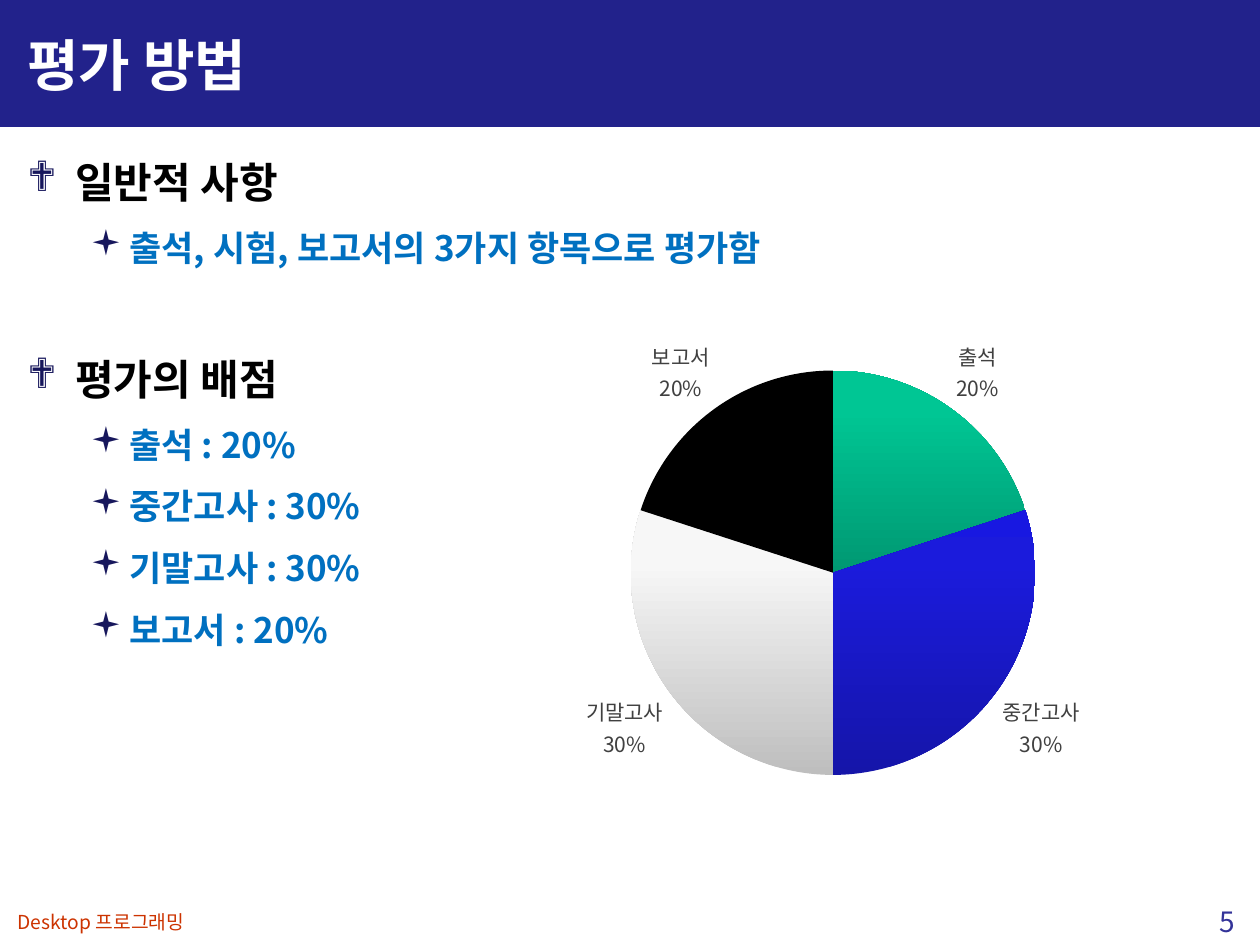
from dataclasses import dataclass

from lxml.etree import SubElement
from pptx import Presentation
from pptx.chart.data import CategoryChartData
from pptx.dml.color import RGBColor
from pptx.enum.chart import XL_CHART_TYPE, XL_LABEL_POSITION
from pptx.enum.shapes import MSO_SHAPE
from pptx.enum.text import MSO_ANCHOR, PP_ALIGN
from pptx.oxml import parse_xml
from pptx.oxml.ns import nsdecls, qn
from pptx.util import Emu, Pt


@dataclass(frozen=True)
class Theme:
    font: str = "Noto Sans CJK KR"
    bullet_font: str = "Wingdings"
    banner: str = "22228B"
    title: str = "FFFFFF"
    heading: str = "000000"
    item: str = "0070C0"
    bullet: str = "17175C"
    footer: str = "CC3300"
    number: str = "333399"
    label: str = "404040"
    title_size: int = 32
    heading_size: int = 24
    item_size: int = 20
    number_size: int = 16
    label_size: int = 12
    footer_size: int = 11


THEME = Theme()

SECTIONS = [
    ("일반적 사항", ["출석, 시험, 보고서의 3가지 항목으로 평가함"]),
    ("평가의 배점", ["출석 : 20%", "중간고사 : 30%", "기말고사 : 30%", "보고서 : 20%"]),
]
SCORES = {"출석": 20, "중간고사": 30, "기말고사": 30, "보고서": 20}
SLICE_FILLS = [
    ["009872", "00C694", "00C795"],
    ["1515A9", "1B1BDC", "1818E1"],
    ["BEBEBE", "F7F7F7", "F8F8F8"],
    ["000000"],
]
GRADIENT_STOPS = [0, 80, 100]


def px(length):
    return Emu(round(length * 914400 / 126))


def style_font(font, size, color, bold=False):
    font.name = THEME.font
    font.size = Pt(size)
    font.bold = bold
    font.color.rgb = RGBColor.from_string(color)


def style_paragraph(para, size, color, bold=False):
    """Style the Latin and the Korean letters alike, without pair kerning."""
    style_font(para.font, size, color, bold)
    properties = para._p.pPr.find(qn("a:defRPr"))
    properties.set("kern", "0")
    SubElement(properties, qn("a:ea")).set("typeface", THEME.font)


def add_text_frame(page, left, top, width, height, anchor=MSO_ANCHOR.TOP):
    box = page.shapes.add_textbox(px(left), px(top), px(width), px(height))
    frame = box.text_frame
    frame.word_wrap = True
    frame.vertical_anchor = anchor
    return frame


def add_label(page, bounds, text, size, color, bold=False,
              align=PP_ALIGN.LEFT, anchor=MSO_ANCHOR.TOP):
    para = add_text_frame(page, *bounds, anchor).paragraphs[0]
    para.text = text
    para.alignment = align
    style_paragraph(para, size, color, bold)


def add_banner(page):
    banner = page.shapes.add_shape(MSO_SHAPE.RECTANGLE, 0, 0, px(1260), px(125))
    banner.shadow.inherit = False
    banner.fill.solid()
    banner.fill.fore_color.rgb = RGBColor.from_string(THEME.banner)
    banner.line.color.rgb = RGBColor.from_string(THEME.banner)
    banner.line.width = Pt(2)


def set_bullet(para, symbol, margin, hanging):
    properties = para._p.get_or_add_pPr()
    properties.set("marL", str(px(margin)))
    properties.set("indent", str(-px(hanging)))
    default_font = properties.find(qn("a:defRPr"))
    for xml in (
        f'<a:buClr {nsdecls("a")}><a:srgbClr val="{THEME.bullet}"/></a:buClr>',
        f'<a:buFont {nsdecls("a")} typeface="{THEME.bullet_font}"/>',
        f'<a:buChar {nsdecls("a")} char="{symbol}"/>',
    ):
        default_font.addprevious(parse_xml(xml))


def write_line(para, text, size, color, gap, bullet):
    para.text = text
    para.alignment = PP_ALIGN.JUSTIFY
    para.line_spacing = 1.3
    para.space_before = Pt(gap)
    style_paragraph(para, size, color, bold=True)
    set_bullet(para, *bullet)


def add_outline(page):
    frame = add_text_frame(page, 15, 135, 1234, 769)
    for index, (heading, items) in enumerate(SECTIONS):
        para = frame.add_paragraph() if index else frame.paragraphs[0]
        write_line(para, heading, THEME.heading_size, THEME.heading,
                   40 if index else 4, ("❖", 48, 48))
        for item in items:
            para = frame.add_paragraph()
            para.level = 1
            write_line(para, item, THEME.item_size, THEME.item, 4, ("▪", 102, 39))


def fill_slice(series, index, colors):
    fill = series.points[index].format.fill
    if len(colors) == 1:
        fill.solid()
        fill.fore_color.rgb = RGBColor.from_string(colors[0])
        return
    fill.gradient()
    stops = "".join(
        f'<a:gs pos="{stop * 1000}"><a:srgbClr val="{color}"/></a:gs>'
        for stop, color in zip(GRADIENT_STOPS, colors))
    gradient = parse_xml(
        f'<a:gradFill {nsdecls("a")} rotWithShape="1"><a:gsLst>{stops}</a:gsLst>'
        f'<a:lin ang="{270 * 60000}" scaled="0"/></a:gradFill>')
    properties = series._element.xpath(f"c:dPt[c:idx/@val='{index}']/c:spPr")[0]
    properties.replace(properties.find(qn("a:gradFill")), gradient)


def place_plot(chart, x, y, width, height):
    """Fix the pie's inner area, in fractions of the chart."""
    plot_area = chart._chartSpace.chart.plotArea
    old_layout = plot_area.find(qn("c:layout"))
    if old_layout is not None:
        plot_area.remove(old_layout)
    plot_area.insert(0, parse_xml(
        f'<c:layout {nsdecls("c")}><c:manualLayout><c:layoutTarget val="inner"/>'
        '<c:xMode val="edge"/><c:yMode val="edge"/>'
        f'<c:x val="{x}"/><c:y val="{y}"/><c:w val="{width}"/><c:h val="{height}"/>'
        '</c:manualLayout></c:layout>'))


def add_score_chart(page):
    data = CategoryChartData()
    data.categories = list(SCORES)
    data.add_series("Series 1", list(SCORES.values()))
    chart = page.shapes.add_chart(
        XL_CHART_TYPE.PIE, px(471), px(304), px(724), px(512), data).chart
    chart.has_title = False
    chart.has_legend = False
    style_font(chart.font, 10, THEME.heading)
    place_plot(chart, 0.22, 0.13, 0.56, 0.79)

    plot = chart.plots[0]
    plot.vary_by_categories = False
    for index, colors in enumerate(SLICE_FILLS):
        fill_slice(plot.series[0], index, colors)

    plot.has_data_labels = True
    labels = plot.data_labels
    labels.show_category_name = True
    labels.show_percentage = True
    labels.show_value = False
    labels.position = XL_LABEL_POSITION.OUTSIDE_END
    style_font(labels.font, THEME.label_size, THEME.label)
    separator = parse_xml(f'<c:separator {nsdecls("c")}>\n</c:separator>')
    labels._element.find(qn("c:showBubbleSize")).addnext(separator)


def main():
    deck = Presentation()
    deck.slide_width, deck.slide_height = px(1260), px(945)
    page = deck.slides.add_slide(deck.slide_layouts[6])
    add_banner(page)
    add_label(page, (5, 904, 659, 35), "Desktop 프로그래밍",
              THEME.footer_size, THEME.footer)
    add_label(page, (1195, 898, 64, 47), "5", THEME.number_size, THEME.number,
              align=PP_ALIGN.CENTER)
    add_label(page, (15, 13, 1230, 103), "평가 방법", THEME.title_size, THEME.title,
              bold=True, anchor=MSO_ANCHOR.MIDDLE)
    add_outline(page)
    add_score_chart(page)
    deck.save("out.pptx")


if __name__ == "__main__":
    main()
